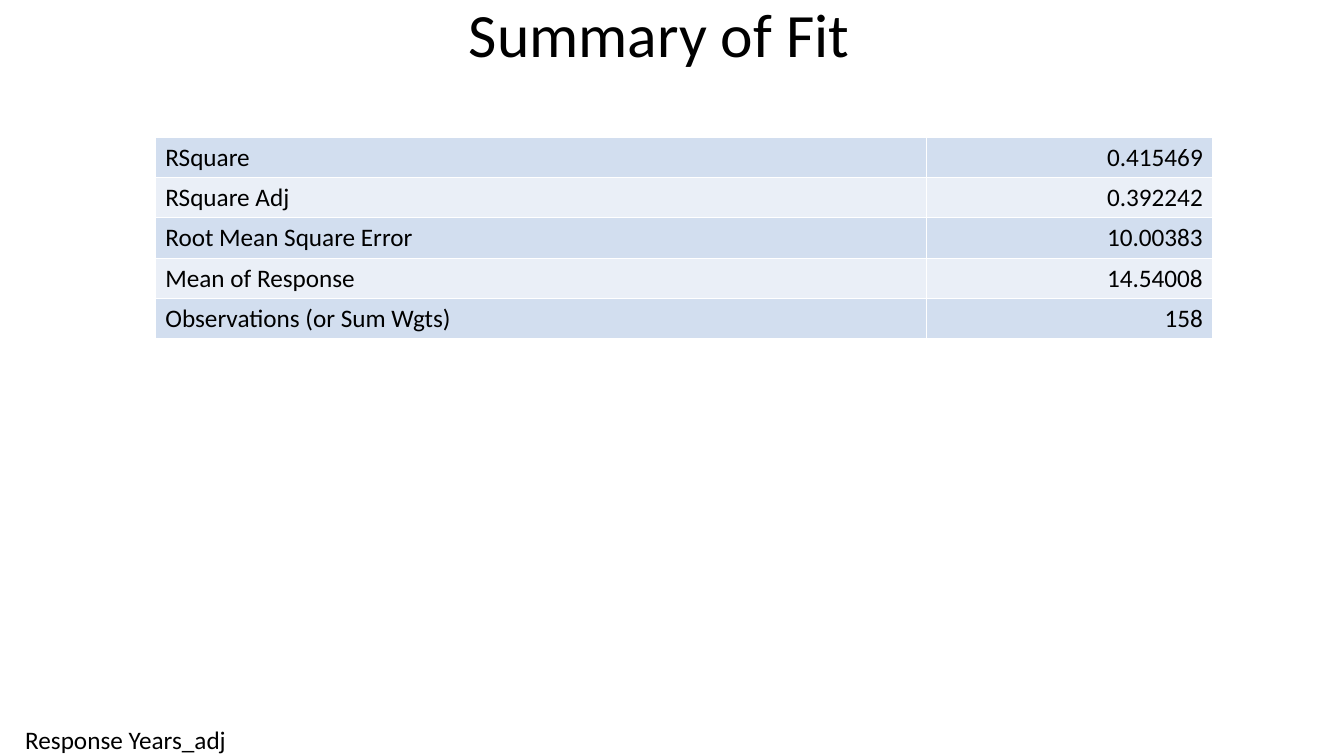
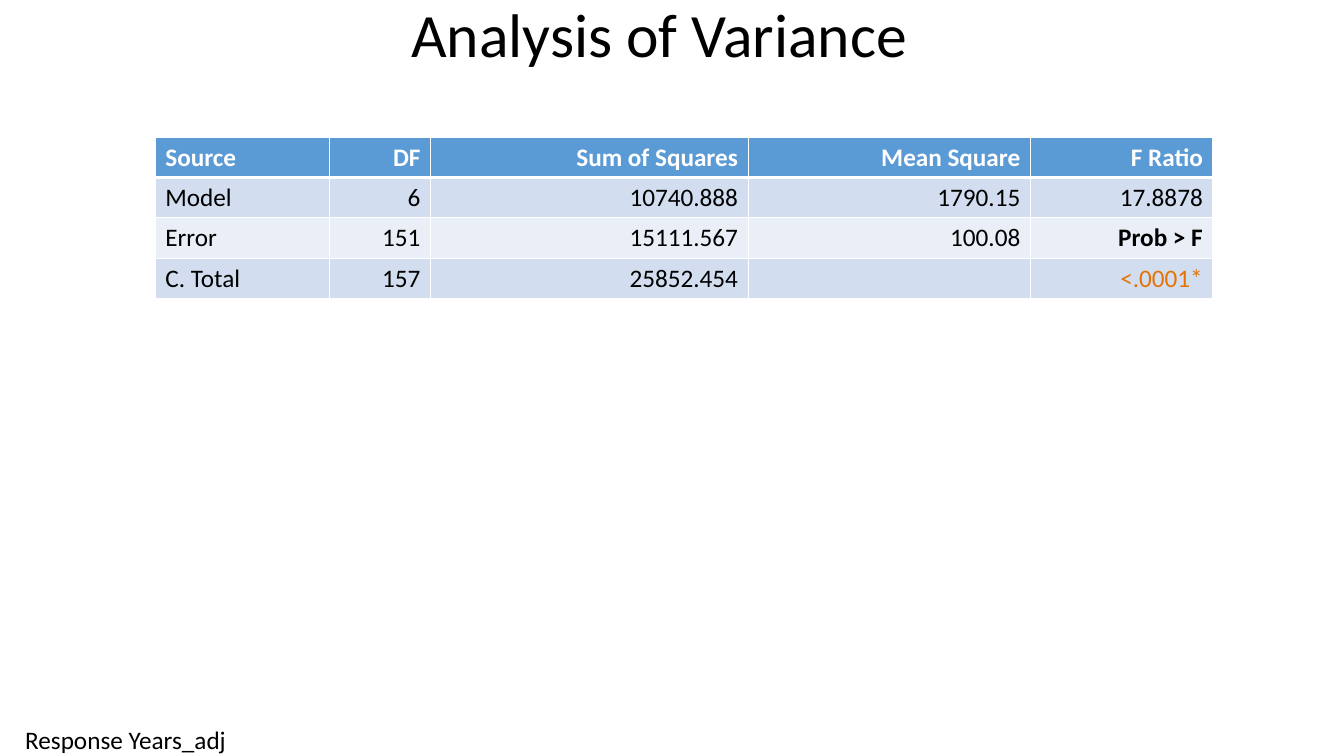
from dataclasses import dataclass

from lxml.etree import SubElement
from pptx import Presentation
from pptx.dml.color import RGBColor as RGB
from pptx.enum.text import MSO_ANCHOR as ANCHOR, MSO_AUTO_SIZE as AUTO, PP_ALIGN as ALIGN
from pptx.oxml.ns import qn
from pptx.util import Inches, Pt


@dataclass(frozen=True)
class Theme:
    font: str = "Calibri"
    title_size: int = 44
    text_size: int = 18
    text: str = "000000"
    white: str = "FFFFFF"
    header: str = "5B9BD5"
    bands: tuple = ("D2DEEF", "EAEFF7")
    accent: str = "E57406"
    rule: int = 1
    header_rule: int = 3


THEME = Theme()
TITLE_ONLY = 5
TABLE_LEFT, TABLE_TOP, ROW_HEIGHT = 1.54, 1.36, 0.4
FOOTER = "Response Years_adj"

FIT_ROWS = [
    ("RSquare", "0.415469"),
    ("RSquare Adj", "0.392242"),
    ("Root Mean Square Error", "10.00383"),
    ("Mean of Response", "14.54008"),
    ("Observations (or Sum Wgts)", "158"),
]
VARIANCE_HEADER = ("Source", "DF", "Sum of Squares", "Mean Square", "F Ratio")
VARIANCE_ROWS = [
    ("Model", "6", "10740.888", "1790.15", "17.8878"),
    ("Error", "151", "15111.567", "100.08", "Prob > F"),
    ("C. Total", "157", "25852.454", "", "<.0001*"),
]
VARIANCE_STYLES = {
    "Prob > F": {"bold": True},
    "<.0001*": {"color": THEME.accent},
}


def write(tf, text, *, size=THEME.text_size, color=THEME.text, bold=False,
          align=ALIGN.LEFT, spacing=None):
    p = tf.paragraphs[0]
    p.alignment = align
    p.line_spacing = spacing
    if not text:
        return
    r = p.add_run()
    r.text = text
    r.font.name = THEME.font
    r.font.size = Pt(size)
    r.font.bold = bold
    r.font.color.rgb = RGB.from_string(color)


def set_borders(cell, **widths):
    """Draw white cell borders; widths gives points for the sides L, R, T, B."""
    tc_pr = cell._tc.get_or_add_tcPr()
    for side in "LRTB":
        width = Pt(widths.get(side, THEME.rule))
        line = SubElement(tc_pr, qn(f"a:ln{side}"), w=str(width))
        fill = SubElement(line, qn("a:solidFill"))
        SubElement(fill, qn("a:srgbClr"), val=THEME.white)


def add_footer(s):
    box = s.shapes.add_textbox(Inches(0.25), Inches(7.19), Inches(2.03), Inches(0.31))
    tf = box.text_frame
    tf.margin_left = tf.margin_right = tf.margin_top = tf.margin_bottom = 0
    tf.word_wrap = False
    tf.auto_size = AUTO.SHAPE_TO_FIT_TEXT
    write(tf, FOOTER)


def add_slide(prs, title):
    """Add a slide with the shared title style and footer."""
    s = prs.slides.add_slide(prs.slide_layouts[TITLE_ONLY])
    add_footer(s)
    sp = s.shapes.title
    sp.left, sp.top = Inches(0), Inches(0)
    sp.width, sp.height = Inches(13.08), Inches(0.75)
    tf = sp.text_frame
    tf.auto_size = AUTO.NONE
    tf.vertical_anchor = ANCHOR.MIDDLE
    write(tf, title, size=THEME.title_size, align=ALIGN.CENTER, spacing=0.9)
    return s


def add_data_table(s, col_widths, rows, header=None, styles=None):
    """Add a banded table; styles maps a cell's text to its own text format."""
    styles = styles or {}
    all_rows = [header, *rows] if header else rows
    frame = s.shapes.add_table(
        len(all_rows), len(col_widths), Inches(TABLE_LEFT), Inches(TABLE_TOP),
        Inches(sum(col_widths)), Inches(ROW_HEIGHT * len(all_rows)))
    table = frame.table
    table.first_row = bool(header)
    for column, width in zip(table.columns, col_widths):
        column.width = Inches(width)

    first_body = 1 if header else 0
    for i, row in enumerate(all_rows):
        is_header = i < first_body
        if is_header:
            fill, row_format = THEME.header, {"color": THEME.white, "bold": True}
            borders = {"B": THEME.header_rule}
        else:
            fill, row_format = THEME.bands[(i - first_body) % 2], {}
            borders = {"T": THEME.header_rule} if header and i == first_body else {}
        for j, text in enumerate(row):
            cell = table.cell(i, j)
            set_borders(cell, **borders)
            cell.fill.solid()
            cell.fill.fore_color.rgb = RGB.from_string(fill)
            align = ALIGN.RIGHT if j else ALIGN.LEFT
            write(cell.text_frame, text, align=align,
                  **{**row_format, **styles.get(text, {})})


def main():
    prs = Presentation()
    prs.slide_width, prs.slide_height = Inches(13.33), Inches(7.5)

    s = add_slide(prs, "Summary of Fit")
    add_data_table(s, (7.65, 2.84), FIT_ROWS)

    s = add_slide(prs, "Analysis of Variance")
    add_data_table(s, (1.73, 1, 3.15, 2.8, 1.81), VARIANCE_ROWS,
                   header=VARIANCE_HEADER, styles=VARIANCE_STYLES)

    prs.save("out.pptx")


if __name__ == "__main__":
    main()
